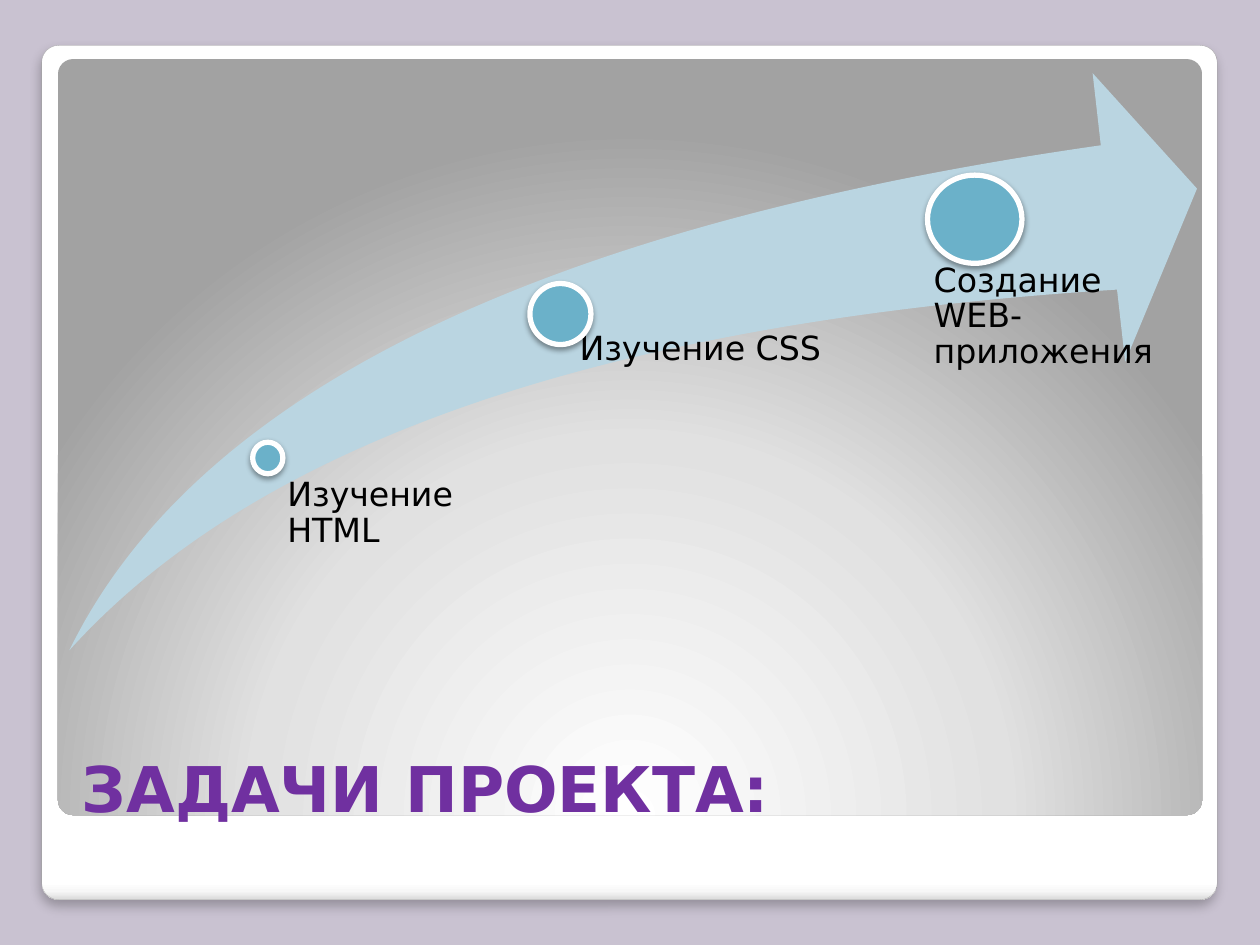
"""Builds the project goals slide: three steps along a rising arrow."""
from lxml import etree
from pptx import Presentation
from pptx import util as u
from pptx.dml.color import RGBColor
from pptx.enum import shapes, text
from pptx.oxml.ns import qn

Pt = u.Pt
BACKGROUND = RGBColor(0xC9, 0xC2, 0xD1)
CARD_EDGE = RGBColor(0xA4, 0xA4, 0xA4)
ARROW_BLUE = RGBColor(0xBA, 0xD5, 0xE1)
DOT_BLUE = RGBColor(0x6B, 0xB1, 0xC9)
WHITE = RGBColor(0xFF, 0xFF, 0xFF)
BLACK = RGBColor(0, 0, 0)
PURPLE = RGBColor(0x70, 0x30, 0xA0)

TITLE = "ЗАДАЧИ ПРОЕКТА:"
TITLE_BOX = (39.6, 392.4, 644.4, 82.8)
TITLE_FONT = {"name": "DejaVu Sans", "size": Pt(36), "bold": True}
LABEL_FONT = {"name": "DejaVu Sans", "size": Pt(19), "bold": False}
LABEL_SIZE = (161.3, 85.7)
LABEL_INSET = 10.8
STEPS = [
    ("Изучение HTML", (153.4, 262.1), (144.4, 252.7, 17.3, 18)),
    ("Изучение CSS", (320.4, 179.3), (302.8, 162, 34.9, 34.9)),
    ("Создание WEB-приложения", (522.7, 139.7), (530, 100.1, 54, 50.4)),
]
CARD_BOX = (23.8, 25.9, 671.8, 488.2)
CARD_STOPS = [(0, "FFFFFF"), (98, "FFFFFF"), (99, "F7F7F7"), (100, "DADADA")]
CARD_SHADOW = (25, 6, 4)
PANEL_BOX = (33.1, 33.8, 653.8, 432)
PANEL_STOPS = [(0, "FFFFFF"), (55, "E1E1E1"), (100, "A2A2A2")]
PANEL_FOCUS = {"l": 50, "t": 175, "r": 50, "b": -75}
ARROW_BOX = (39.6, 41.8, 644.4, 329.8)
DOT_SHADOW = (38, 3.1, 1.6)


def child(parent, tag, **values):
    return etree.SubElement(parent, qn(f"a:{tag}"), {k: str(v) for k, v in values.items()})


def add_outline(slide, kind, box, fill=None, line=None, width=0):
    shape = slide.shapes.add_shape(kind, *map(Pt, box))
    shape.shadow.inherit = False
    if fill is not None:
        shape.fill.solid()
        shape.fill.fore_color.rgb = fill
    if line is None:
        shape.line.fill.background()
    else:
        shape.line.color.rgb = line
        shape.line.width = Pt(width)
    return shape


def set_gradient(shape, stops, focus=None):
    shape.fill.gradient()
    gradient = shape._element.spPr.find(qn("a:gradFill"))
    for old in list(gradient):
        gradient.remove(old)
    stop_list = child(gradient, "gsLst")
    for position, color in stops:
        child(child(stop_list, "gs", pos=position * 1000), "srgbClr", val=color)
    if focus:
        route = child(gradient, "path", path="circle")
        child(route, "fillToRect", **{side: v * 1000 for side, v in focus.items()})
    else:
        child(gradient, "lin", ang=90 * 60000, scaled=0)


def set_shadow(shape, opacity, blur, distance):
    effects = shape._element.spPr.find(qn("a:effectLst"))
    shadow = child(effects, "outerShdw", blurRad=Pt(blur), dist=Pt(distance),
                   dir=90 * 60000, algn="t", rotWithShape=0)
    child(child(shadow, "srgbClr", val="000000"), "alpha", val=opacity * 1000)


def add_text(slide, words, box, font, color, frame_format, spacing=1.0):
    frame = slide.shapes.add_textbox(*map(Pt, box)).text_frame
    for name, value in {"word_wrap": True, **frame_format}.items():
        setattr(frame, name, value)
    paragraph = frame.paragraphs[0]
    paragraph.line_spacing = spacing
    run = paragraph.add_run()
    run.text = words
    for name, value in font.items():
        setattr(run.font, name, value)
    run.font.color.rgb = color


def main():
    deck = Presentation()
    deck.slide_width, deck.slide_height = Pt(720), Pt(540)
    slide = deck.slides.add_slide(deck.slide_layouts[6])
    slide.background.fill.solid()
    slide.background.fill.fore_color.rgb = BACKGROUND

    kinds = shapes.MSO_SHAPE
    card = add_outline(slide, kinds.ROUNDED_RECTANGLE, CARD_BOX, line=CARD_EDGE, width=0.16)
    panel = add_outline(slide, kinds.ROUNDED_RECTANGLE, PANEL_BOX)
    for plate in (card, panel):
        plate.adjustments[0] = 0.02
    set_gradient(card, CARD_STOPS)
    set_shadow(card, *CARD_SHADOW)
    set_gradient(panel, PANEL_STOPS, PANEL_FOCUS)

    add_text(slide, TITLE, TITLE_BOX, TITLE_FONT, PURPLE,
             {"vertical_anchor": text.MSO_ANCHOR.BOTTOM})
    add_outline(slide, kinds.SWOOSH_ARROW, ARROW_BOX, ARROW_BLUE)

    insets = {f"margin_{side}": Pt(LABEL_INSET) for side in ("left", "top", "right", "bottom")}
    for label, corner, dot_box in STEPS:
        add_text(slide, label, corner + LABEL_SIZE, LABEL_FONT, BLACK, insets, 0.9)
        dot = add_outline(slide, kinds.OVAL, dot_box, DOT_BLUE, WHITE, 3)
        set_shadow(dot, *DOT_SHADOW)

    deck.save("out.pptx")


if __name__ == "__main__":
    main()
